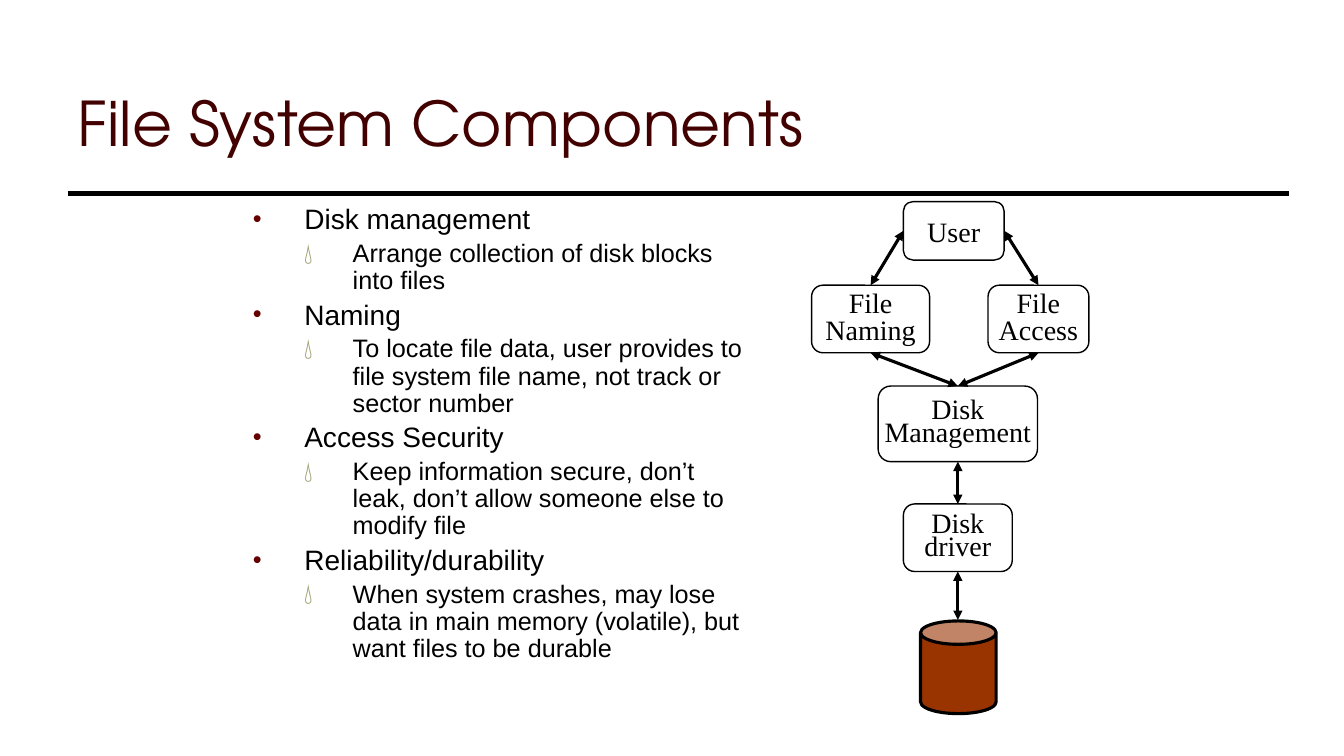
"""Build the slide on the components of a file system."""
from lxml import etree
from pptx import Presentation
from pptx.dml.color import RGBColor
from pptx.enum.shapes import MSO_CONNECTOR as Connector, MSO_SHAPE as Preset
from pptx.enum.text import MSO_ANCHOR as Anchor, PP_ALIGN as Align
from pptx.oxml.ns import qn
from pptx.util import Inches, Pt

BLACK = RGBColor(0x00, 0x00, 0x00)
TITLE_MAROON = RGBColor(0x42, 0x00, 0x00)
BULLET_RED = RGBColor(0x66, 0x00, 0x00)
DROP_OLIVE = RGBColor(0x99, 0x99, 0x66)
DISK_BROWN = RGBColor(0x99, 0x33, 0x00)

TOP, LEFT, BOTTOM, RIGHT = range(4)

TOPICS = [
    ("Disk management", "Arrange collection of disk blocks into files"),
    ("Naming", "To locate file data, user provides to file system file name, "
               "not track or sector number"),
    ("Access Security", "Keep information secure, don’t leak, "
                        "don’t allow someone else to modify file"),
    ("Reliability/durability", "When system crashes, may lose data in main memory "
                               "(volatile), but want files to be durable"),
]

LEVELS = [
    {"char": "•", "color": BULLET_RED, "percent": 90, "size": 20,
     "margin": 0.51, "hanging": 0.51},
    {"char": "💧", "color": DROP_OLIVE, "percent": 85, "size": 18,
     "margin": 0.99, "hanging": 0.48},
]

COMPONENTS = {
    "user": (("User",), 8.96, 2, 1, 0.58, 1.0),
    "naming": (("File", "Naming"), 8.05, 2.83, 1.17, 0.67, 0.8),
    "access": (("File", "Access"), 9.8, 2.83, 1, 0.67, 0.8),
    "management": (("Disk", "Management"), 8.71, 3.83, 1.58, 0.75, 0.7),
    "driver": (("Disk", "driver"), 8.96, 5, 1.08, 0.67, 0.7),
}

LINKS = [
    ("user", LEFT, "naming", TOP),
    ("user", RIGHT, "access", TOP),
    ("naming", BOTTOM, "management", TOP),
    ("access", BOTTOM, "management", TOP),
    ("management", BOTTOM, "driver", TOP),
]


def style_runs(paragraph, font_name, size, color):
    """Give every run of a paragraph the same font."""
    for run in paragraph.runs:
        run.font.name = font_name
        run.font.size = Pt(size)
        run.font.color.rgb = color


def set_title(slide, wording):
    """Place and format the title placeholder."""
    title = slide.shapes.title
    title.left, title.top = Inches(0.67), Inches(0.58)
    title.width, title.height = Inches(12), Inches(1.25)
    title.text_frame.text = wording
    title.text_frame.vertical_anchor = Anchor.MIDDLE
    heading = title.text_frame.paragraphs[0]
    heading.alignment = Align.LEFT
    style_runs(heading, "TeX Gyre Adventor", 44, TITLE_MAROON)


def set_bullet(paragraph, level):
    """Add the hanging indent and bullet of an outline level."""
    properties = paragraph._p.get_or_add_pPr()
    properties.set("marL", str(Inches(level["margin"])))
    properties.set("indent", str(-Inches(level["hanging"])))
    color = etree.SubElement(properties, qn("a:buClr"))
    etree.SubElement(color, qn("a:srgbClr"), val=str(level["color"]))
    etree.SubElement(properties, qn("a:buSzPct"), val=str(level["percent"] * 1000))
    etree.SubElement(properties, qn("a:buFont"), typeface="Arial")
    etree.SubElement(properties, qn("a:buChar"), char=level["char"])


def add_outline(slide):
    """Add the topics with their explanations."""
    outline = slide.shapes.add_textbox(
        Inches(2.41), Inches(1.99), Inches(5.11), Inches(5.17)).text_frame
    outline.word_wrap = True
    entries = [(depth, wording) for topic in TOPICS
               for depth, wording in enumerate(topic)]
    for position, (depth, wording) in enumerate(entries):
        entry = outline.add_paragraph() if position else outline.paragraphs[0]
        level = LEVELS[depth]
        entry.text = wording
        entry.level = depth
        set_bullet(entry, level)
        entry.line_spacing = 0.9
        entry.space_before = Pt(0.2 * level["size"] if position else 0)
        style_runs(entry, "Arial", level["size"], BLACK)


def add_component(slide, lines, left, top, width, height, spacing):
    """Add one labelled rounded box."""
    component = slide.shapes.add_shape(
        Preset.ROUNDED_RECTANGLE,
        Inches(left), Inches(top), Inches(width), Inches(height))
    component.shadow.inherit = False
    component.fill.background()
    component.line.color.rgb = BLACK
    component.line.width = Pt(1)
    label = component.text_frame
    label.word_wrap = False
    label.vertical_anchor = Anchor.MIDDLE
    label.text = "\n".join(lines)
    for line in label.paragraphs:
        line.alignment = Align.CENTER
        line.line_spacing = spacing
        style_runs(line, "Times New Roman", 20, BLACK)
    return component


def add_disk(slide):
    """Add the disk cylinder."""
    disk = slide.shapes.add_shape(
        Preset.CAN, Inches(9.13), Inches(6.16), Inches(0.75), Inches(0.92))
    disk.adjustments[0] = 0.31
    disk.shadow.inherit = False
    disk.fill.solid()
    disk.fill.fore_color.rgb = DISK_BROWN
    disk.line.color.rgb = BLACK
    disk.line.width = Pt(2.25)


def add_line(slide, start, end, weight, arrows=False):
    """Add a straight black line, with arrowheads at both ends if asked."""
    line = slide.shapes.add_connector(
        Connector.STRAIGHT, *(Inches(value) for value in (*start, *end)))
    line.line.color.rgb = BLACK
    line.line.width = Pt(weight)
    if arrows:
        outline = line.line._get_or_add_ln()
        for tag in ("a:headEnd", "a:tailEnd"):
            etree.SubElement(outline, qn(tag), type="triangle")
    etree.SubElement(line._element.spPr, qn("a:effectLst"))
    return line


def main():
    """Build and save the slide."""
    deck = Presentation()
    deck.slide_width, deck.slide_height = Inches(13.33), Inches(7.5)
    slide = deck.slides.add_slide(deck.slide_layouts[5])
    set_title(slide, "File System Components")
    add_line(slide, (0.67, 1.92), (12.78, 1.92), 3)
    add_outline(slide)
    components = {name: add_component(slide, *details)
                  for name, details in COMPONENTS.items()}
    add_disk(slide)
    for source, source_side, target, target_side in LINKS:
        link = add_line(slide, (0, 0), (0, 0), 2.25, arrows=True)
        link.begin_connect(components[source], source_side)
        link.end_connect(components[target], target_side)
    disk_link = add_line(slide, (9.5, 5.67), (9.5, 6.15), 2.25, arrows=True)
    disk_link.begin_connect(components["driver"], BOTTOM)
    deck.save("out.pptx")


if __name__ == "__main__":
    main()
